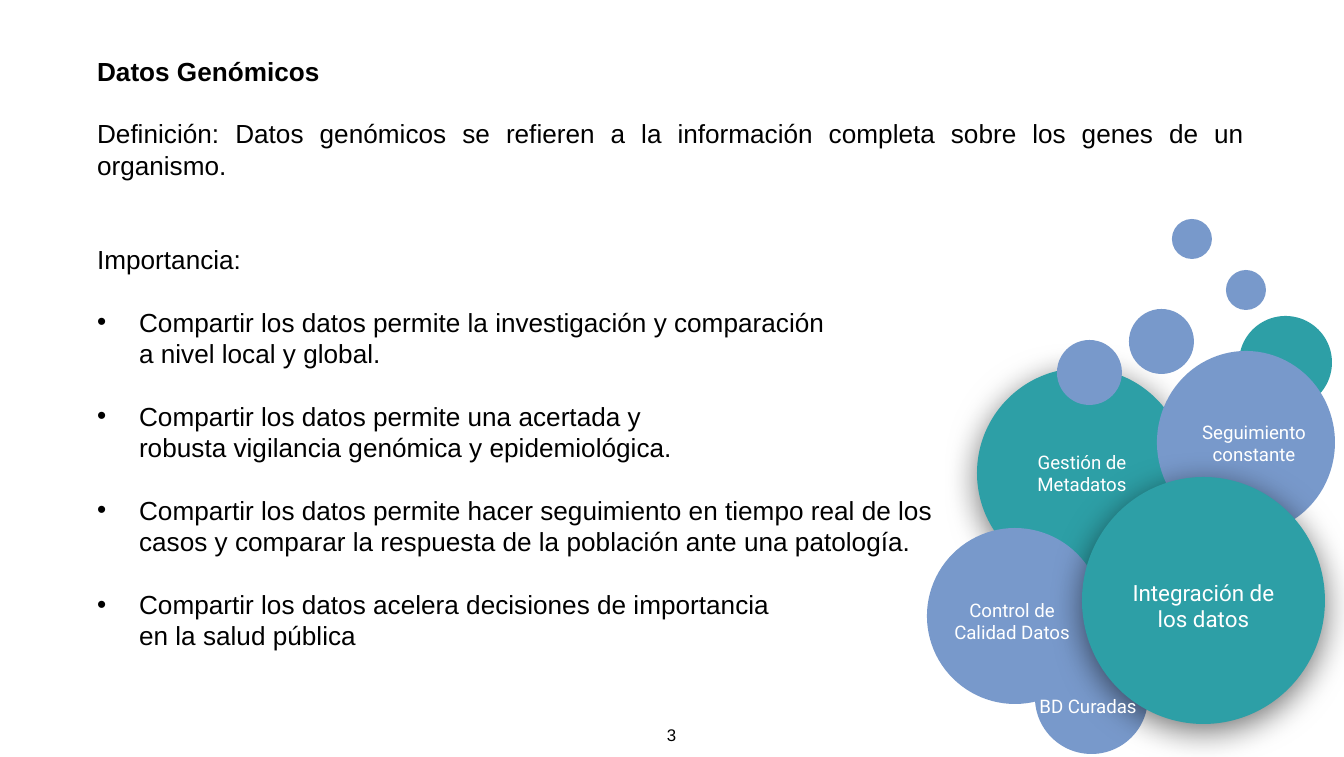
import lxml.etree
import pptx
import pptx.dml.color
import pptx.enum.shapes
import pptx.enum.text
import pptx.oxml.ns
import pptx.util

RGBColor = pptx.dml.color.RGBColor
PP_ALIGN = pptx.enum.text.PP_ALIGN
qn = pptx.oxml.ns.qn

TEAL = RGBColor(0x2D, 0x9F, 0xA6)
BLUE = RGBColor(0x78, 0x99, 0xCB)
BLACK = RGBColor(0x00, 0x00, 0x00)
WHITE = RGBColor(0xFF, 0xFF, 0xFF)
EMU_PER_PX = 914400 / 134.4
LINE_PT = 16.8
INDENT = 42

PARAGRAPHS = [
    ("Datos Genómicos", 0, False),
    ("Definición: Datos genómicos se refieren a la información completa "
     "sobre los genes de un organismo.", 1, False),
    ("Importancia:", 2, False),
    ("Compartir los datos permite la investigación y comparación\v"
     "a nivel local y global.", 1, True),
    ("Compartir los datos permite una acertada y\v"
     "robusta vigilancia genómica y epidemiológica.", 1, True),
    ("Compartir los datos permite hacer seguimiento en tiempo real de los\v"
     "casos y comparar la respuesta de la población ante una patología.", 1, True),
    ("Compartir los datos acelera decisiones de importancia\v"
     "en la salud pública", 1, True),
]

BUBBLES = [
    (57, 158, 210, 210, TEAL, True),
    (137, 130, 65, 65, BLUE, False),
    (306, 60, 40, 40, BLUE, False),
    (319, 106, 93, 93, TEAL, False),
    (115, 431, 113, 113, BLUE, False),
    (209, 99, 65, 65, BLUE, False),
    (7, 318, 176, 176, BLUE, False),
    (237, 141, 178, 183, BLUE, False),
    (252, 9, 40, 40, BLUE, False),
    (162, 267, 243, 247, TEAL, True),
]

LABELS = [
    ("Gestión de Metadatos", 91, 194, 142, 138, 10),
    ("Integración de los datos", 190, 337, 187, 117, 12),
    ("Control de Calidad Datos", 21, 342, 142, 138, 10),
    ("BD Curadas", 97, 427, 142, 138, 10),
    ("Seguimiento constante", 263, 164, 142, 138, 10),
]


def px(n):
    return pptx.util.Emu(round(n * EMU_PER_PX))


def add_text_box(s, x, y, w, h, margins):
    sp = s.shapes.add_textbox(px(x), px(y), px(w), px(h))
    tf = sp.text_frame
    tf.word_wrap = True
    tf.margin_left = tf.margin_right = px(margins[0])
    tf.margin_top = tf.margin_bottom = px(margins[1])
    return tf


def format_runs(p, name, size, color, bold=False):
    for r in p.runs:
        r.font.name = name
        r.font.size = pptx.util.Pt(size)
        r.font.color.rgb = color
        r.font.bold = bold


def add_bullet(p):
    pPr = p._p.get_or_add_pPr()
    pPr.set("marL", str(px(INDENT)))
    pPr.set("indent", str(-px(INDENT)))
    lxml.etree.SubElement(pPr, qn("a:buFont"), typeface="Arial")
    lxml.etree.SubElement(pPr, qn("a:buChar"), char="•")


def add_shadow(sp):
    effects = sp._element.spPr.find(qn("a:effectLst"))
    shadow = lxml.etree.SubElement(
        effects, qn("a:outerShdw"), blurRad=str(pptx.util.Pt(18)),
        dist=str(pptx.util.Pt(4)), dir="5400000", algn="ctr", rotWithShape="0")
    color = lxml.etree.SubElement(shadow, qn("a:srgbClr"), val=str(BLACK))
    lxml.etree.SubElement(color, qn("a:alpha"), val="55000")


def add_body(s, x, y, w, h):
    tf = add_text_box(s, x, y, w, h, (13, 7))
    for i, (text, gap_lines, bulleted) in enumerate(PARAGRAPHS):
        p = tf.paragraphs[0] if i == 0 else tf.add_paragraph()
        p.text = text
        p.alignment = PP_ALIGN.LEFT if bulleted else PP_ALIGN.JUSTIFY
        p.line_spacing = pptx.util.Pt(LINE_PT)
        if gap_lines:
            p.space_before = pptx.util.Pt(gap_lines * LINE_PT)
        if bulleted:
            add_bullet(p)
        format_runs(p, "Arial", 14, BLACK, bold=i == 0)


def add_bubbles(s, x, y):
    for dx, dy, w, h, color, shadowed in BUBBLES:
        sp = s.shapes.add_shape(pptx.enum.shapes.MSO_SHAPE.OVAL,
                                px(x + dx), px(y + dy), px(w), px(h))
        sp.shadow.inherit = False
        sp.fill.solid()
        sp.fill.fore_color.rgb = color
        sp.line.fill.background()
        if shadowed:
            add_shadow(sp)
    for text, dx, dy, w, h, size in LABELS:
        tf = add_text_box(s, x + dx, y + dy, w, h, (13, 13))
        tf.vertical_anchor = pptx.enum.text.MSO_ANCHOR.MIDDLE
        p = tf.paragraphs[0]
        p.text = text
        p.alignment = PP_ALIGN.CENTER
        format_runs(p, "Roboto", size, WHITE)


def add_page_number(s, x, y, w, h):
    p = add_text_box(s, x, y, w, h, (3, 3)).paragraphs[0]
    p.text = "3"
    p.alignment = PP_ALIGN.CENTER
    format_runs(p, "Arial", 9, BLACK)


def main():
    prs = pptx.Presentation()
    prs.slide_width = px(1344)
    prs.slide_height = px(757)
    s = prs.slides.add_slide(prs.slide_layouts[6])
    add_page_number(s, 659, 722, 25, 25)
    add_body(s, 84, 48, 1174, 742)
    add_bubbles(s, 920, 210)
    prs.save("out.pptx")


if __name__ == "__main__":
    main()
